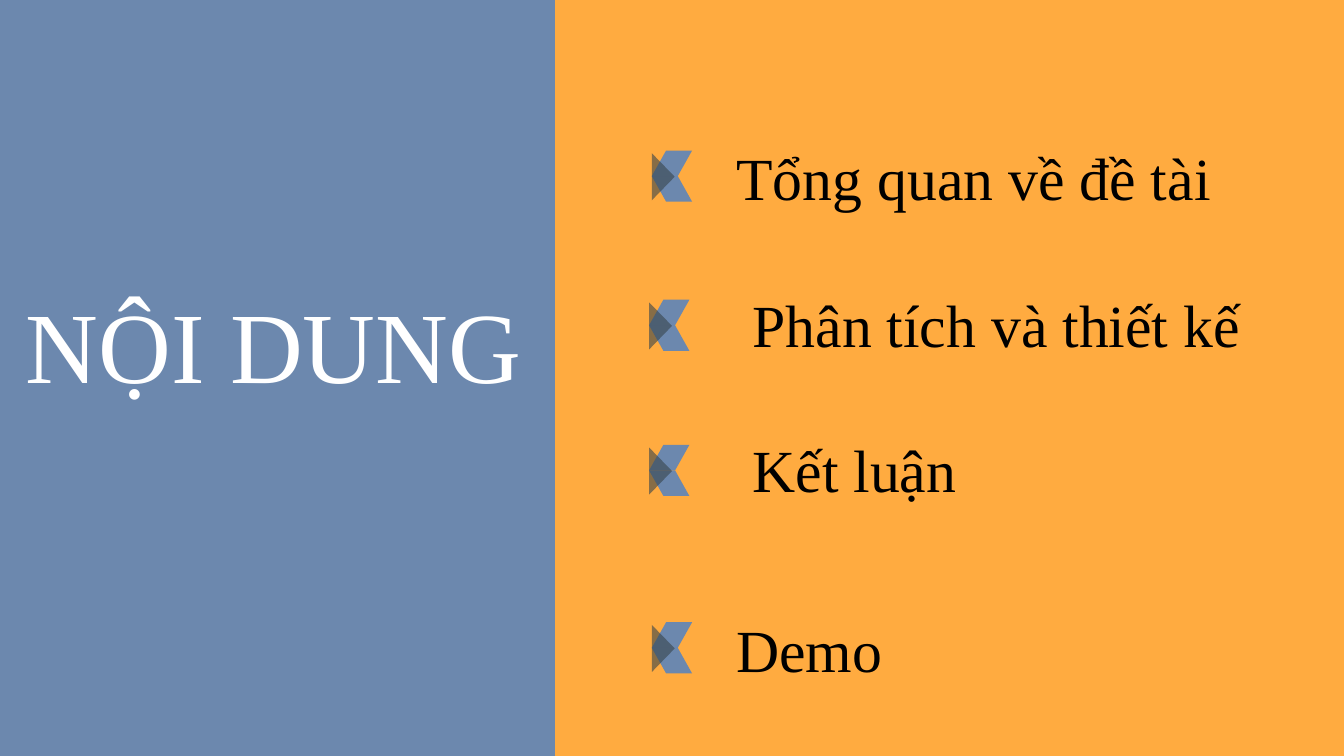
from lxml import etree
from pptx import Presentation
from pptx.dml.color import RGBColor
from pptx.enum import shapes, text
from pptx.oxml.ns import qn
from pptx.util import Inches, Pt

TITLE = "NỘI DUNG"
TOPICS = [
    {"label": "Tổng quan về đề tài", "text_at": (5.38, 1.06, 4.62, 0.51), "icon_at": (4.85, 1.12)},
    {"label": "Phân tích và thiết kế", "text_at": (5.5, 2.15, 4.62, 0.51), "icon_at": (4.83, 2.23)},
    {"label": "Kết luận", "text_at": (5.5, 3.23, 3.85, 0.51), "icon_at": (4.83, 3.31)},
    {"label": "Demo", "text_at": (5.38, 4.57, 3.85, 0.51), "icon_at": (4.85, 4.63)},
]
ORANGE, BLUE, SLATE = "FFAB40", "5E85B9", "38444A"
WHITE, BLACK = "FFFFFF", "000000"
FRAME = {
    "word_wrap": True,
    "auto_size": text.MSO_AUTO_SIZE.NONE,
    **{f"margin_{side}": Inches(0.1) for side in ("left", "top", "right", "bottom")},
}
BAND_WIDTH, BAND_HEIGHT = 0.3, 0.19


def paint(fill, color, opacity=100):
    fill.solid()
    fill.fore_color.rgb = RGBColor.from_string(color)
    if opacity < 100:
        tint = fill._xPr.find(qn("a:solidFill"))[0]
        etree.SubElement(tint, qn("a:alpha"), val=str(opacity * 1000))


def add_block(parent, kind, at, color, opacity, adjustment=None):
    block = parent.add_shape(kind, *at)
    block.shadow.inherit = False
    block.line.fill.background()
    paint(block.fill, color, opacity)
    if adjustment is not None:
        block.adjustments[0] = adjustment
    return block


def write(box, wording, size, color, align, anchor):
    for name, value in {**FRAME, "vertical_anchor": anchor}.items():
        setattr(box.text_frame, name, value)
    para = box.text_frame.paragraphs[0]
    para.alignment = align
    span = para.add_run()
    span.text = wording
    for name, value in {"name": "Times New Roman", "size": Pt(size), "bold": False}.items():
        setattr(span.font, name, value)
    paint(span.font.fill, color)


def add_icon(page, left, top):
    group = page.shapes.add_group_shape().shapes
    for row in range(2):
        at = map(Inches, (left, top + row * BAND_HEIGHT, BAND_WIDTH, BAND_HEIGHT))
        band = add_block(group, shapes.MSO_SHAPE.PARALLELOGRAM, at, BLUE, 91, 0.56)
        if row:
            band._element.spPr.xfrm.set("flipH", "1")
    at = map(Inches, (left - 0.09, top + 0.11, 0.35, 0.17))
    arrow = add_block(group, shapes.MSO_SHAPE.ISOSCELES_TRIANGLE, at, SLATE, 60, 0.5)
    arrow.rotation = 90


def main():
    deck = Presentation()
    deck.slide_width = Inches(10)
    deck.slide_height = deck.slide_width * 9 // 16
    page = deck.slides.add_slide(deck.slide_layouts[5])
    paint(page.background.fill, ORANGE)

    panel_at = (0, 0, Inches(4.13), deck.slide_height)
    panel = add_block(page.shapes, shapes.MSO_SHAPE.RECTANGLE, panel_at, BLUE, 91)
    title = page.shapes.title
    title._element.addprevious(panel._element)
    title.left, title.top, title.width, title.height = map(Inches, (0, 2, 4.07, 1.19))
    write(title, TITLE, 54, WHITE, text.PP_ALIGN.CENTER, text.MSO_ANCHOR.TOP)

    for topic in TOPICS:
        add_icon(page, *topic["icon_at"])
        box = page.shapes.add_textbox(*map(Inches, topic["text_at"]))
        write(box, topic["label"], 32, BLACK, text.PP_ALIGN.LEFT, text.MSO_ANCHOR.MIDDLE)

    deck.save("out.pptx")


if __name__ == "__main__":
    main()
